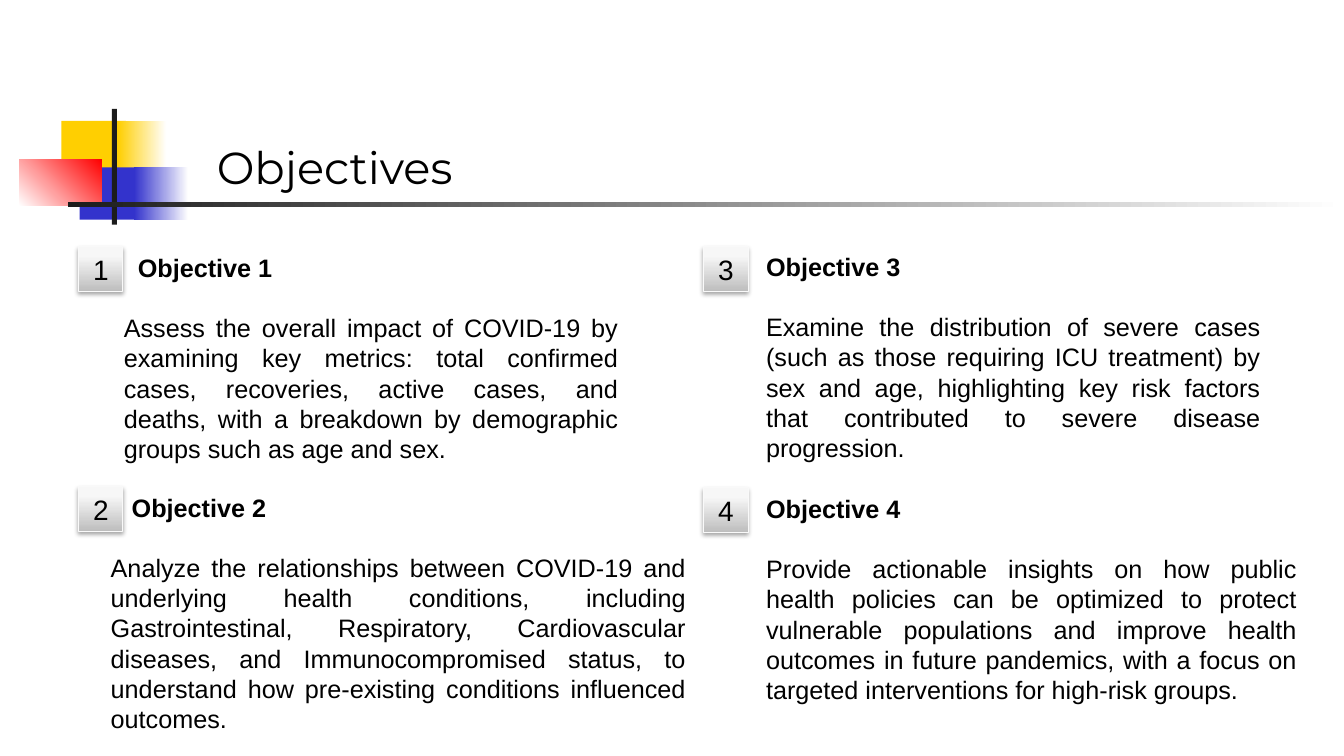
from lxml import etree
from pptx import Presentation
from pptx.dml.color import RGBColor
from pptx.enum.shapes import MSO_SHAPE
from pptx.enum.text import MSO_ANCHOR, MSO_AUTO_SIZE, PP_ALIGN
from pptx.oxml.ns import qn
from pptx.util import Pt

PX = 9144  # 100 px to the inch
RECT = MSO_SHAPE.RECTANGLE
BOTTOM, MIDDLE = MSO_ANCHOR.BOTTOM, MSO_ANCHOR.MIDDLE
LEFT, CENTER, JUSTIFY = PP_ALIGN.LEFT, PP_ALIGN.CENTER, PP_ALIGN.JUSTIFY
GROW = MSO_AUTO_SIZE.SHAPE_TO_FIT_TEXT

BLACK = RGBColor(0x00, 0x00, 0x00)
WHITE = RGBColor(0xFF, 0xFF, 0xFF)
YELLOW = RGBColor(0xFF, 0xCF, 0x01)
BLUE = RGBColor(0x33, 0x33, 0xCC)
RED = RGBColor(0xFF, 0x00, 0x00)
CHARCOAL = RGBColor(0x1C, 0x1C, 0x1C)
SILVER = RGBColor(0xBE, 0xBE, 0xBE)
PALE = RGBColor(0xF7, 0xF7, 0xF7)
PALER = RGBColor(0xF8, 0xF8, 0xF8)
EDGE = RGBColor(0xF9, 0xF9, 0xF9)

BADGE_SIZE = 44
BADGE_STOPS = [(0, SILVER), (80, PALE), (100, PALER)]

# box (left, top, width, height), fill stops, angle counter-clockwise
ORNAMENT = [
    ((61, 120, 64, 52), [(0, YELLOW)], 0),
    ((117, 120, 48, 52), [(0, YELLOW), (100, WHITE)], 0),
    ((79, 166, 62, 52), [(0, BLUE)], 0),
    ((133, 166, 54, 52), [(0, BLUE), (100, WHITE)], 0),
    ((19, 158, 82, 46), [(0, WHITE), (100, RED)], 45),
    ((111, 108, 5, 115), [(0, CHARCOAL)], 0),
    ((67, 200, 1266, 5), [(0, CHARCOAL), (100, WHITE)], 0),
]

# number, badge position, text box, heading indent in points, text
OBJECTIVES = [
    (1, (78, 245), (113, 245, 510, 222), 10,
     "Assess the overall impact of COVID-19 by examining key metrics: total "
     "confirmed cases, recoveries, active cases, and deaths, with a breakdown "
     "by demographic groups such as age and sex."),
    (2, (78, 483), (100, 483, 590, 252), 15,
     "Analyze the relationships between COVID-19 and underlying health "
     "conditions, including Gastrointestinal, Respiratory, Cardiovascular "
     "diseases, and Immunocompromised status, to understand how pre-existing "
     "conditions influenced outcomes."),
    (3, (698, 245), (750, 244, 510, 252), 0,
     "Examine the distribution of severe cases (such as those requiring ICU "
     "treatment) by sex and age, highlighting key risk factors that "
     "contributed to severe disease progression."),
    (4, (698, 484), (750, 484, 546, 251), 0,
     "Provide actionable insights on how public health policies can be "
     "optimized to protect vulnerable populations and improve health outcomes "
     "in future pandemics, with a focus on targeted interventions for "
     "high-risk groups."),
]


def emu(box):
    return [v * PX for v in box]


def add_run(p, text, size, font="Arial", bold=False):
    r = p.add_run()
    r.text = text
    r.font.size, r.font.name, r.font.bold = Pt(size), font, bold
    r.font.color.rgb = BLACK


def set_gradient(shape, stops, angle):
    shape.fill.gradient()
    shape.fill.gradient_angle = angle
    gs_list = shape.element.spPr.find(qn("a:gradFill")).find(qn("a:gsLst"))
    for gs in list(gs_list):
        gs_list.remove(gs)
    for pos, color in stops:
        gs = etree.SubElement(gs_list, qn("a:gs"), pos=str(pos * 1000))
        etree.SubElement(gs, qn("a:srgbClr"), val=str(color))


def add_block(s, box, stops, angle):
    """Add a borderless rectangle; a single stop gives a solid fill."""
    shape = s.shapes.add_shape(RECT, *emu(box))
    shape.shadow.inherit = False
    shape.line.fill.background()
    if len(stops) == 1:
        shape.fill.solid()
        shape.fill.fore_color.rgb = stops[0][1]
    else:
        set_gradient(shape, stops, angle)
    return shape


def add_soft_shadow(shape):
    effects = shape.element.spPr.find(qn("a:effectLst"))
    shadow = etree.SubElement(effects, qn("a:outerShdw"), blurRad="40000",
                              dist="23000", dir="5400000", rotWithShape="0")
    color = etree.SubElement(shadow, qn("a:srgbClr"), val=str(BLACK))
    etree.SubElement(color, qn("a:alpha"), val="35000")


def add_badge(s, number, position):
    badge = add_block(s, (*position, BADGE_SIZE, BADGE_SIZE), BADGE_STOPS, 90)
    badge.line.color.rgb = EDGE
    badge.line.width = Pt(0.75)
    add_soft_shadow(badge)
    tf = badge.text_frame
    tf.vertical_anchor = MIDDLE
    p = tf.paragraphs[0]
    p.alignment = CENTER
    add_run(p, str(number), 20)


def add_objective(s, number, box, indent, text):
    tf = s.shapes.add_textbox(*emu(box)).text_frame
    tf.word_wrap = True
    tf.auto_size = GROW
    heading, body = tf.paragraphs[0], tf.add_paragraph()
    add_run(heading, f"Objective {number}", 18, bold=True)
    heading._p.get_or_add_pPr().set("marL", str(Pt(indent)))
    add_run(body, text, 18)
    body.space_before = Pt(21.6)
    for p in (heading, body):
        p.alignment = JUSTIFY
        p.line_spacing = Pt(21.6)


def add_title(s, text, box):
    title = s.shapes.title
    title.left, title.top, title.width, title.height = emu(box)
    tf = title.text_frame
    tf.vertical_anchor = BOTTOM
    p = tf.paragraphs[0]
    p.alignment = LEFT
    add_run(p, text, 32, "Montserrat")


def main():
    prs = Presentation()
    prs.slide_width, prs.slide_height = 1333 * PX, 750 * PX
    s = prs.slides.add_slide(prs.slide_layouts[5])
    for box, stops, angle in ORNAMENT:
        add_block(s, box, stops, angle)
    add_title(s, "Objectives", (205, 113, 394, 84))
    for number, position, box, indent, text in OBJECTIVES:
        add_objective(s, number, box, indent, text)
        add_badge(s, number, position)
    prs.save("out.pptx")


if __name__ == "__main__":
    main()
